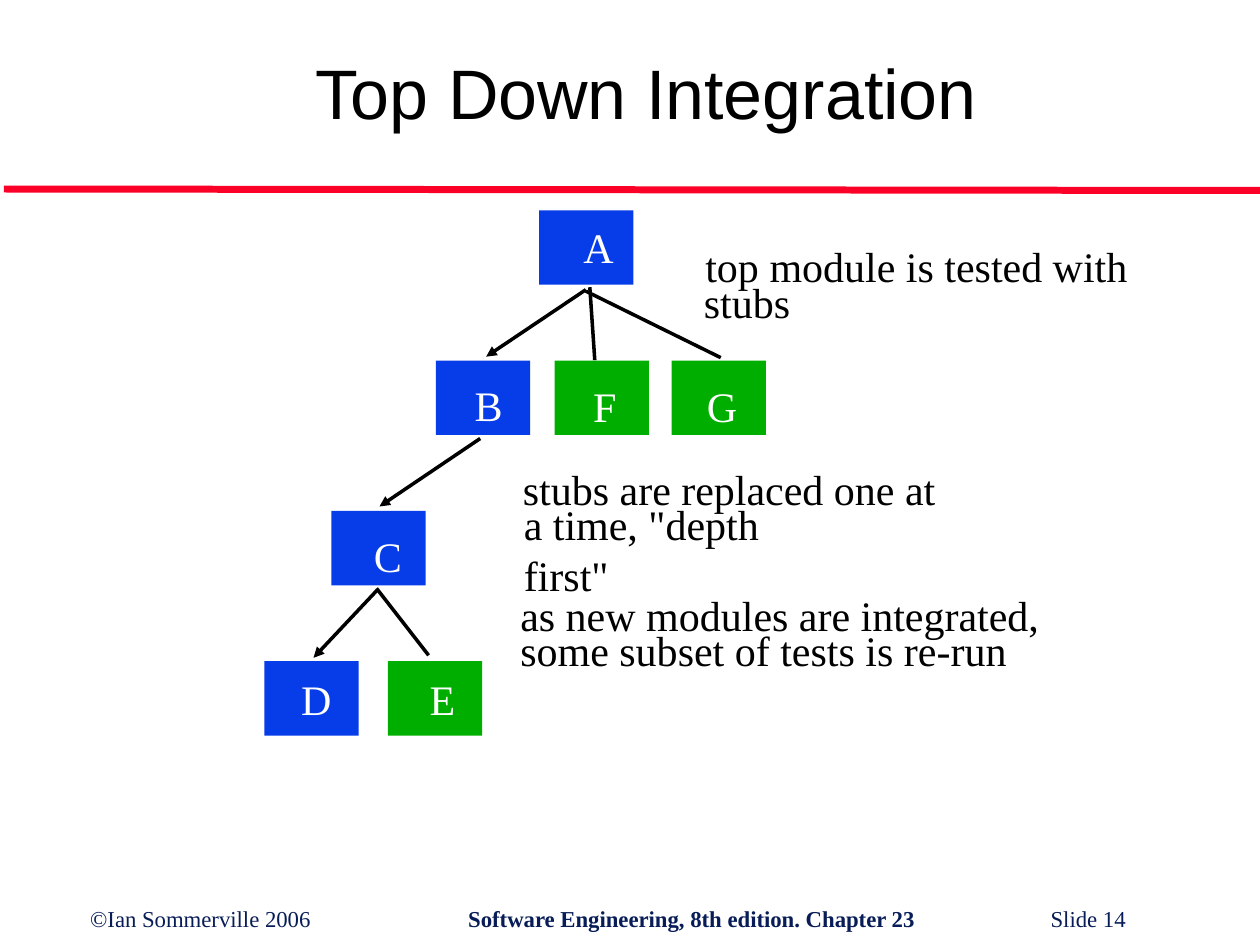
from dataclasses import dataclass

from lxml.etree import SubElement
from pptx import Presentation
from pptx.dml.color import RGBColor
from pptx.enum.shapes import MSO_CONNECTOR, MSO_SHAPE
from pptx.enum.text import MSO_ANCHOR, MSO_AUTO_SIZE, PP_ALIGN
from pptx.oxml.ns import qn
from pptx.util import Cm, Pt

BLUE, GREEN, RED = "063DE8", "00AE00", "FC0128"
BLACK, WHITE, NAVY = "000000", "FFFFFF", "081D58"
SERIF = "Times New Roman"
BOX_W, BOX_H, TEXT_H = 1.9, 1.5, 1.27
TOP, ROW_STEP = 4.24, 3.03


@dataclass
class Module:
    name: str
    level: int
    x: float
    color: str
    label_dx: float
    label_dy: float
    label_w: float


@dataclass
class Link:
    x1: float
    y1: float
    x2: float
    y2: float
    arrow: bool = False
    color: str = BLACK
    width: float = 2


@dataclass
class Note:
    text: str
    x: float
    y: float
    w: float
    wrap: bool = False


MODULES = [
    Module("A", 0, 10.87, BLUE, 0.64, 0.1, 1.12),
    Module("B", 1, 8.79, BLUE, 0.53, 0.25, 1.07),
    Module("C", 2, 6.68, BLUE, 0.61, 0.27, 1.07),
    Module("D", 3, 5.33, BLUE, 0.49, 0.13, 1.12),
    Module("E", 3, 7.82, GREEN, 0.59, 0.13, 1.02),
    Module("F", 1, 11.18, GREEN, 0.53, 0.27, 0.97),
    Module("G", 1, 13.54, GREEN, 0.46, 0.27, 1.12),
]

LINKS = [
    Link(7.59, 11.86, 8.64, 13.21),
    Link(11.89, 5.79, 11.99, 7.26),
    Link(11.81, 5.87, 14.53, 7.21),
    Link(11.81, 5.84, 9.8, 7.19, True),
    Link(9.68, 8.84, 7.65, 10.21, True),
    Link(7.59, 11.91, 6.32, 13.26, True),
]

NOTES = [
    Note("top module is tested with", 13.97, 4.72, 9.22),
    Note("stubs", 13.94, 5.44, 2.24),
    Note("stubs are replaced one at", 10.29, 9.22, 9.04),
    Note('a time, "depth first"', 10.31, 9.93, 6.35, True),
    Note("as new modules are integrated,", 10.24, 11.76, 11.18),
    Note("some subset of tests is re-run", 10.24, 12.47, 10.31),
]


def rgb(color: str) -> RGBColor:
    return RGBColor.from_string(color)


def style(font, name: str, size: float, color: str) -> None:
    font.name = name
    font.size = Pt(size)
    font.color.rgb = rgb(color)


def draw_text(s, text: str, x: float, y: float, w: float, color: str, wrap: bool = False) -> None:
    tf = s.shapes.add_textbox(Cm(x), Cm(y), Cm(w), Cm(TEXT_H)).text_frame
    tf.word_wrap = wrap
    tf.text = text
    style(tf.paragraphs[0].runs[0].font, SERIF, 24, color)


def draw_box(s, m: Module) -> None:
    y = TOP + m.level * ROW_STEP
    sp = s.shapes.add_shape(MSO_SHAPE.RECTANGLE, Cm(m.x), Cm(y), Cm(BOX_W), Cm(BOX_H))
    sp.shadow.inherit = False
    sp.fill.solid()
    sp.fill.fore_color.rgb = rgb(m.color)
    sp.line.fill.background()


def draw_label(s, m: Module) -> None:
    y = TOP + m.level * ROW_STEP + m.label_dy
    draw_text(s, m.name, m.x + m.label_dx, y, m.label_w, WHITE)


def draw_link(s, link: Link) -> None:
    c = s.shapes.add_connector(
        MSO_CONNECTOR.STRAIGHT, Cm(link.x1), Cm(link.y1), Cm(link.x2), Cm(link.y2)
    )
    c.line.color.rgb = rgb(link.color)
    c.line.width = Pt(link.width)
    if link.arrow:
        SubElement(c.line._get_or_add_ln(), qn("a:tailEnd"), type="triangle")
    SubElement(c._element.spPr, qn("a:effectLst"))


def draw_title(s, text: str) -> None:
    sp = s.shapes.title
    sp.left, sp.top, sp.width, sp.height = Cm(3.99), Cm(1.42), Cm(18.08), Cm(0.84)
    tf = sp.text_frame
    tf.text = text
    tf.auto_size = MSO_AUTO_SIZE.NONE
    tf.vertical_anchor = MSO_ANCHOR.MIDDLE
    p = tf.paragraphs[0]
    p.alignment = PP_ALIGN.CENTER
    style(p.runs[0].font, "Arial", 40, BLACK)


def draw_footer(s, parts: list[str], stops: list[float]) -> None:
    tf = s.shapes.add_textbox(Cm(1.57), Cm(18.11), Cm(22.66), Cm(0.81)).text_frame
    tf.word_wrap = True
    p = tf.paragraphs[0]
    tabs = SubElement(p._p.get_or_add_pPr(), qn("a:tabLst"))
    for stop in stops:
        SubElement(tabs, qn("a:tab"), pos=str(Cm(stop)), algn="l")
    for i, part in enumerate(parts):
        r = p.add_run()
        r.text = part if i == 0 else "\t" + part
        style(r.font, SERIF, 13, NAVY)
        r.font.bold = i == 1


def main() -> None:
    prs = Presentation()
    prs.slide_width, prs.slide_height = Cm(25.4), Cm(19.05)
    s = prs.slides.add_slide(prs.slide_layouts[5])
    draw_link(s, Link(0.08, 3.81, 25.4, 3.84, color=RED, width=4))
    draw_footer(
        s,
        ["©Ian Sommerville 2006", "Software Engineering, 8th edition. Chapter 23", "Slide 14"],
        [7.62, 19.36],
    )
    draw_title(s, "Top Down Integration")
    for m in MODULES:
        draw_box(s, m)
    for link in LINKS:
        draw_link(s, link)
    for n in NOTES:
        draw_text(s, n.text, n.x, n.y, n.w, BLACK, n.wrap)
    for m in MODULES:
        draw_label(s, m)
    prs.save("out.pptx")


if __name__ == "__main__":
    main()
